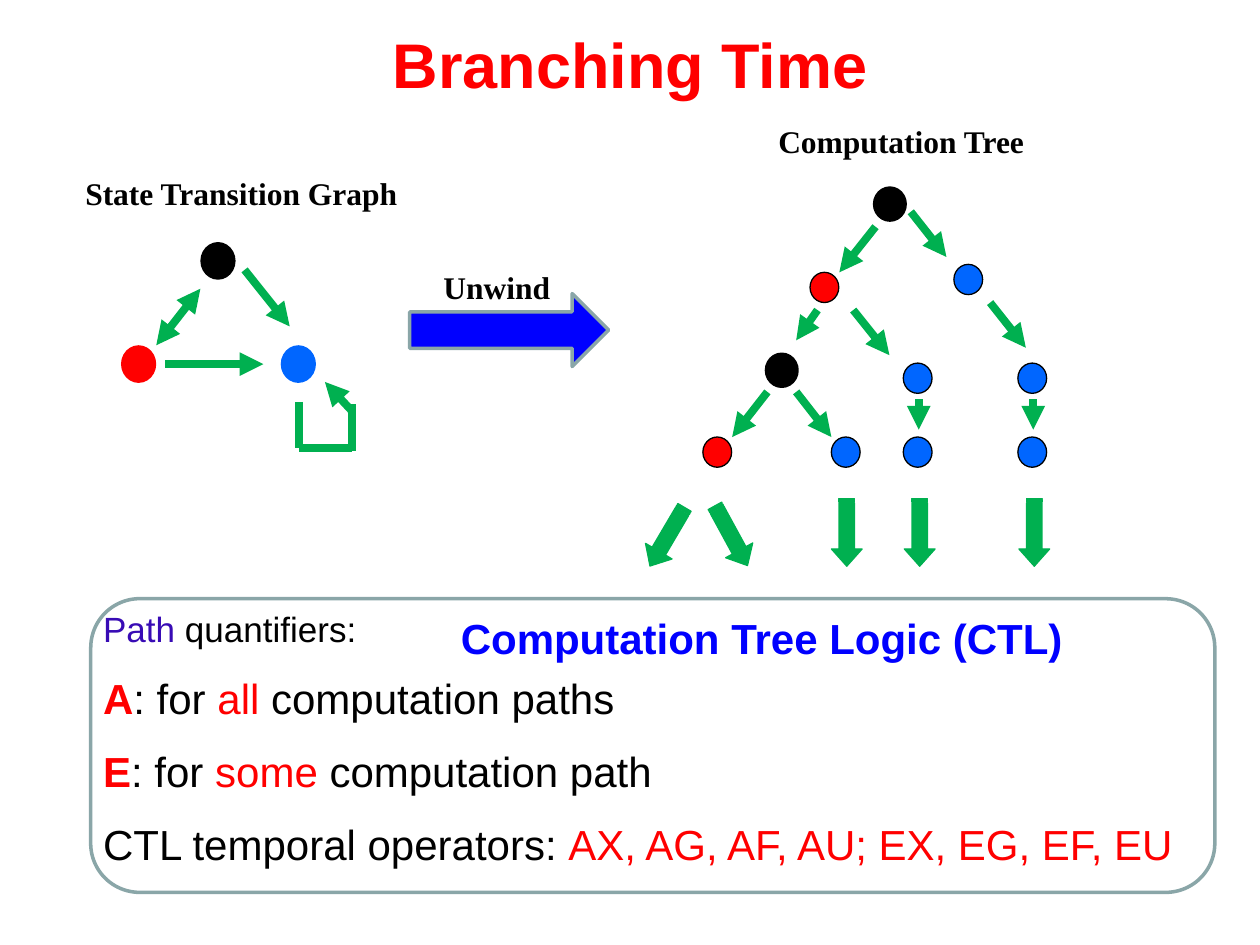
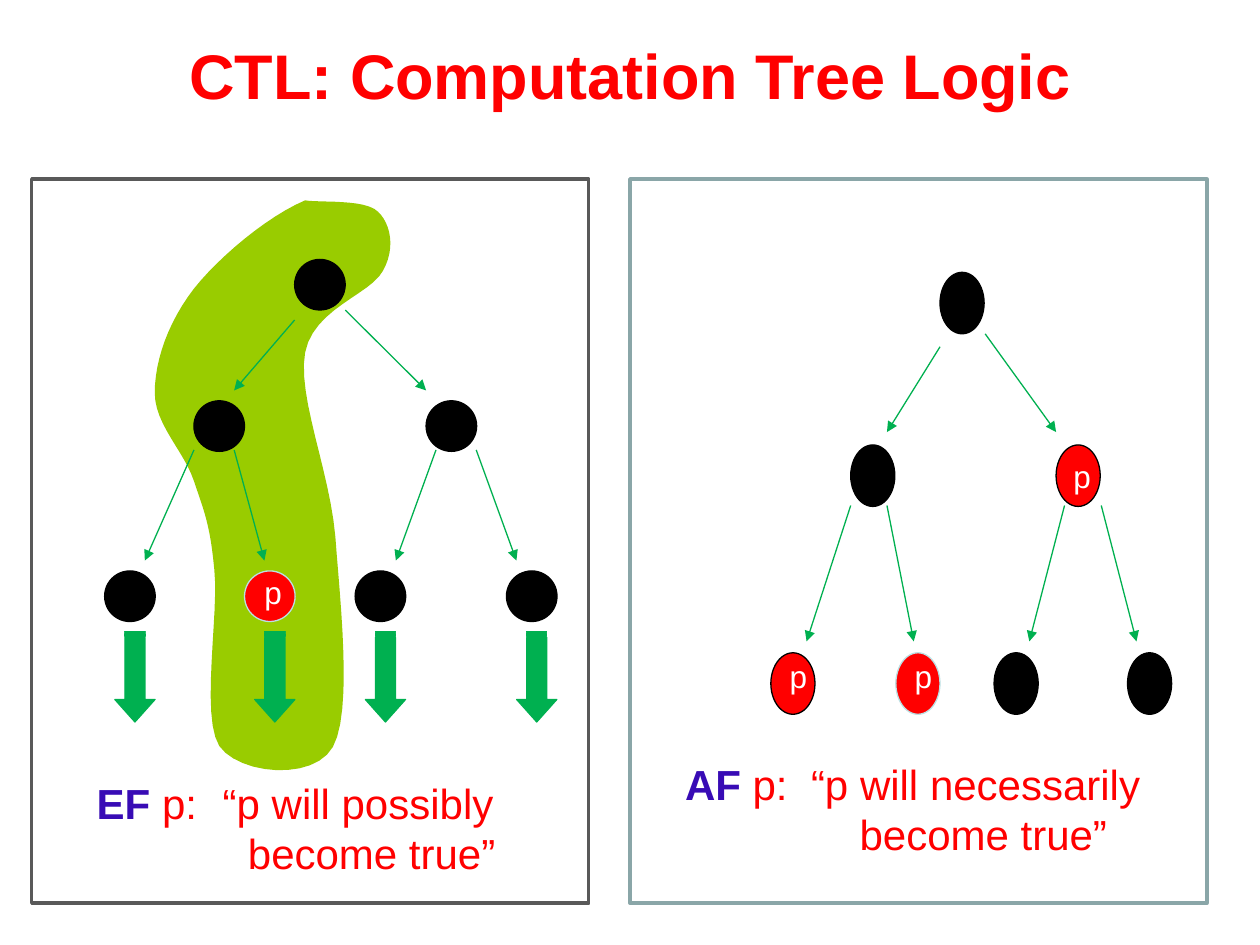
"""Build two slides on branching time and computation tree logic."""
from lxml.etree import SubElement
from pptx import Presentation
from pptx.dml.color import RGBColor
from pptx.enum.shapes import MSO_CONNECTOR, MSO_SHAPE as SHAPE
from pptx.enum.text import MSO_ANCHOR, PP_ALIGN
from pptx.oxml.ns import qn
from pptx.util import Cm, Pt

BLACK, WHITE, RED, BLUE = "000000", "FFFFFF", "FF0000", "0000FF"
SKY, GREEN, INDIGO, GREY = "0066FF", "00B050", "380BB5", "8AA6A8"
DARK, PALE, LIME = "595959", "BBE0E3", "99CC00"
SANS, SERIF = "Arial", "Times New Roman"
rgb = RGBColor.from_string


def style(sp, fill=None, line=None, width=0.75):
    sp.shadow.inherit = False
    if fill:
        sp.fill.solid()
        sp.fill.fore_color.rgb = rgb(fill)
    else:
        sp.fill.background()
    if line:
        sp.line.color.rgb = rgb(line)
        sp.line.width = Pt(width)
    else:
        sp.line.fill.background()


def write(s, box, paragraphs, size, font=SANS):
    tf = s.shapes.add_textbox(*map(Cm, box)).text_frame
    tf.word_wrap = True
    for i, runs in enumerate(paragraphs):
        p = tf.add_paragraph() if i else tf.paragraphs[0]
        for text, color, bold in runs:
            r = p.add_run()
            r.text = text
            r.font.name, r.font.size, r.font.bold = font, Pt(size), bold
            r.font.color.rgb = rgb(color)
    return tf


prs = Presentation()
prs.slide_width, prs.slide_height = Cm(25.4), Cm(19.05)
slides = []
for title, box in [
    ("Branching Time", (0.64, 0.2, 24.13, 2.34)),
    ("CTL: Computation Tree Logic", (2.34, 0.43, 20.73, 2.34)),
]:
    s = prs.slides.add_slide(prs.slide_layouts[5])
    sp = s.shapes.title
    sp.left, sp.top, sp.width, sp.height = map(Cm, box)
    tf = sp.text_frame
    tf.text = title
    tf.vertical_anchor = MSO_ANCHOR.MIDDLE
    p = tf.paragraphs[0]
    p.alignment, p.line_spacing = PP_ALIGN.CENTER, 0.9
    font = p.runs[0].font
    font.name, font.size, font.bold = SANS, Pt(36), True
    font.color.rgb = rgb(RED)
    slides.append(s)
branching, ctl = slides

start = (6.15, 4.04)
curves = [
    ((5.38, 4.37), (4.42, 5.18), (3.91, 5.82)),
    ((3.4, 6.48), (3.12, 7.26), (3.12, 7.92)),
    ((3.12, 8.56), (3.71, 9.09), (3.91, 9.7)),
    ((4.11, 10.29), (4.24, 10.59), (4.32, 11.48)),
    ((4.42, 12.37), (4.04, 14.43), (4.42, 15.04)),
    ((4.83, 15.62), (6.32, 15.75), (6.71, 15.06)),
    ((7.11, 14.35), (6.86, 12.14), (6.76, 10.82)),
    ((6.65, 9.5), (5.99, 8), (6.15, 7.11)),
    ((6.32, 6.22), (7.47, 5.94), (7.72, 5.46)),
    ((7.98, 5), (7.87, 4.5), (7.62, 4.27)),
    ((7.37, 4.01), (6.45, 4.09), start),
]
outline, a = [], start
for b, c, d in curves:
    for step in range(1, 13):
        t = step / 12
        outline.append([
            Cm((1 - t) ** 3 * a[k] + 3 * t * (1 - t) ** 2 * b[k]
               + 3 * t ** 2 * (1 - t) * c[k] + t ** 3 * d[k])
            for k in (0, 1)
        ])
    a = d
builder = ctl.shapes.build_freeform(Cm(start[0]), Cm(start[1]))
builder.add_line_segments(outline, close=True)
style(builder.convert_to_shape(), LIME)

node_groups = [
    (branching, 0.71, 0.76, [
        (4.04, 4.88, BLACK, None), (5.66, 6.96, SKY, None), (2.44, 6.96, RED, None)]),
    (branching, 0.58, 0.61, [
        (17.65, 3.81, BLACK, BLACK), (19.23, 5.33, SKY, BLACK),
        (16.33, 5.49, RED, BLACK), (15.47, 7.16, BLACK, BLACK),
        (18.21, 7.32, SKY, BLACK), (20.52, 7.32, SKY, BLACK),
        (14.17, 8.81, RED, BLACK), (16.76, 8.81, SKY, BLACK),
        (18.21, 8.81, SKY, BLACK), (20.52, 8.81, SKY, BLACK)]),
    (ctl, 1.02, 1.02, [
        (5.94, 5.23, BLACK, BLACK), (3.91, 8.08, BLACK, BLACK),
        (8.59, 8.08, BLACK, BLACK), (2.11, 11.51, BLACK, BLACK),
        (4.93, 11.51, RED, PALE), (7.16, 11.51, BLACK, BLACK),
        (10.21, 11.51, BLACK, BLACK)]),
    (ctl, 0.89, 1.24, [
        (18.95, 5.49, BLACK, BLACK), (17.15, 8.97, BLACK, BLACK),
        (21.29, 8.97, RED, BLACK), (15.54, 13.16, RED, BLACK),
        (18.06, 13.16, RED, PALE), (20.04, 13.16, BLACK, BLACK),
        (22.73, 13.16, BLACK, BLACK)]),
]
for s, w, h, nodes in node_groups:
    for x, y, fill, line in nodes:
        sp = s.shapes.add_shape(SHAPE.OVAL, Cm(x), Cm(y), Cm(w), Cm(h))
        style(sp, fill, line, 3 if s is branching and fill == BLACK else 0.75)

edge_groups = [
    (branching, 4.5, ["headEnd", "tailEnd"], [(4.04, 5.82, 3.15, 6.96)]),
    (branching, 4.5, [], [
        (6.02, 8.1, 6.02, 9.04), (6.02, 9.04, 7.09, 9.04), (7.09, 8.15, 7.09, 9.09)]),
    (branching, 4.5, ["tailEnd"], [
        (4.93, 5.44, 5.84, 6.58), (3.33, 7.34, 5.31, 7.34), (7.09, 8.28, 6.55, 7.7),
        (17.65, 4.57, 16.92, 5.49), (18.36, 4.27, 19.08, 5.18),
        (16.48, 6.25, 16.05, 6.86), (17.2, 6.25, 17.93, 7.16),
        (19.96, 6.1, 20.68, 7.01), (15.47, 7.9, 14.76, 8.81),
        (16.05, 7.9, 16.76, 8.81), (18.52, 8.05, 18.52, 8.66),
        (20.83, 8.05, 20.83, 8.66)]),
    (ctl, 0.75, ["tailEnd"], [
        (5.94, 6.45, 4.72, 7.87), (6.96, 6.25, 8.59, 7.87),
        (3.91, 9.07, 2.92, 11.3), (4.72, 9.07, 5.33, 11.3),
        (8.79, 9.07, 7.98, 11.3), (9.6, 9.07, 10.41, 11.3),
        (18.95, 6.99, 17.88, 8.71), (19.86, 6.73, 21.29, 8.71),
        (17.15, 10.19, 16.26, 12.93), (17.88, 10.19, 18.42, 12.93),
        (21.46, 10.19, 20.75, 12.93), (22.2, 10.19, 22.91, 12.93)]),
]
for s, width, ends, edges in edge_groups:
    for edge in edges:
        cx = s.shapes.add_connector(MSO_CONNECTOR.STRAIGHT, *map(Cm, edge))
        cx.line.color.rgb = rgb(GREEN)
        cx.line.width = Pt(width)
        for end in ends:
            SubElement(cx.line._get_or_add_ln(), qn(f"a:{end}"), type="triangle")
        SubElement(cx._element.spPr, qn("a:effectLst"))

striped_groups = [
    (branching, 1.37, 0.62, [
        (13.45, 10.82, 120.5), (14.74, 10.8, 61.4),
        (17.07, 10.73, 90), (18.54, 10.73, 90), (20.85, 10.73, 90)]),
    (ctl, 1.83, 0.81, [(x, 13.64, 90) for x in (2.72, 5.54, 7.77, 10.82)]),
]
for s, w, h, arrows in striped_groups:
    for x, y, angle in arrows:
        sp = s.shapes.add_shape(
            SHAPE.STRIPED_RIGHT_ARROW, Cm(x - w / 2), Cm(y - h / 2), Cm(w), Cm(h))
        sp.adjustments[1] = 0.56
        sp.rotation = angle
        style(sp, GREEN, GREEN)

for s, kind, box, fill, line in [
    (branching, SHAPE.ROUNDED_RECTANGLE, (1.83, 12.07, 22.66, 5.92), None, GREY),
    (branching, SHAPE.RIGHT_ARROW, (8.26, 5.92, 4.01, 1.47), BLUE, GREY),
    (ctl, SHAPE.RECTANGLE, (0.64, 3.61, 11.23, 14.6), None, DARK),
    (ctl, SHAPE.RECTANGLE, (12.7, 3.61, 11.63, 14.6), None, GREY),
]:
    style(s.shapes.add_shape(kind, *map(Cm, box)), fill, line, 2)

for text, box in [
    ("State Transition Graph", (1.47, 3.38, 7.04, 1.02)),
    ("Computation Tree", (15.44, 2.34, 5.6, 1.02)),
    ("Unwind", (8.69, 5.28, 2.75, 1.02)),
]:
    write(branching, box, [[(text, BLACK, True)]], 18, SERIF)

tf = write(branching, (1.83, 12.12, 23.14, 5.46), [
    [("Path", INDIGO, False), (" quantifiers:", BLACK, False)],
    [("A", RED, True), (": for ", BLACK, False), ("all", RED, False),
     (" computation paths", BLACK, False)],
    [("E", RED, True), (": for ", BLACK, False), ("some", RED, False),
     (" computation path", BLACK, False)],
    [("CTL temporal operators: ", BLACK, False),
     ("AX, AG, AF, AU; EX, EG, EF, EU", RED, False)],
], 24)
for r in tf.paragraphs[0].runs:
    r.font.size = Pt(20)
for p in tf.paragraphs[1:]:
    p.space_before = Pt(13)
write(branching, (9.04, 12.22, 14.68, 1.27),
      [[("Computation Tree Logic (CTL)", BLUE, True)]], 24)

for operator, meaning, box, indent in [
    ("EF ", "p:\t“p will possibly", (1.7, 15.54, 8.84, 2.31), 3.05),
    ("AF ", "p:\t“p will necessarily", (13.56, 15.16, 10.03, 2.31), 3.52),
]:
    tf = write(ctl, box, [
        [(operator, INDIGO, True), (meaning, RED, False)],
        [("become true”", RED, False)],
    ], 24)
    tf.paragraphs[1]._p.get_or_add_pPr().set("marL", str(Cm(indent)))

for x, y in [(5.08, 11.43), (15.67, 13.13), (18.19, 13.13), (21.39, 9.09)]:
    write(ctl, (x, y, 0.86, 1.02), [[("p", WHITE, False)]], 18)

prs.save("out.pptx")
